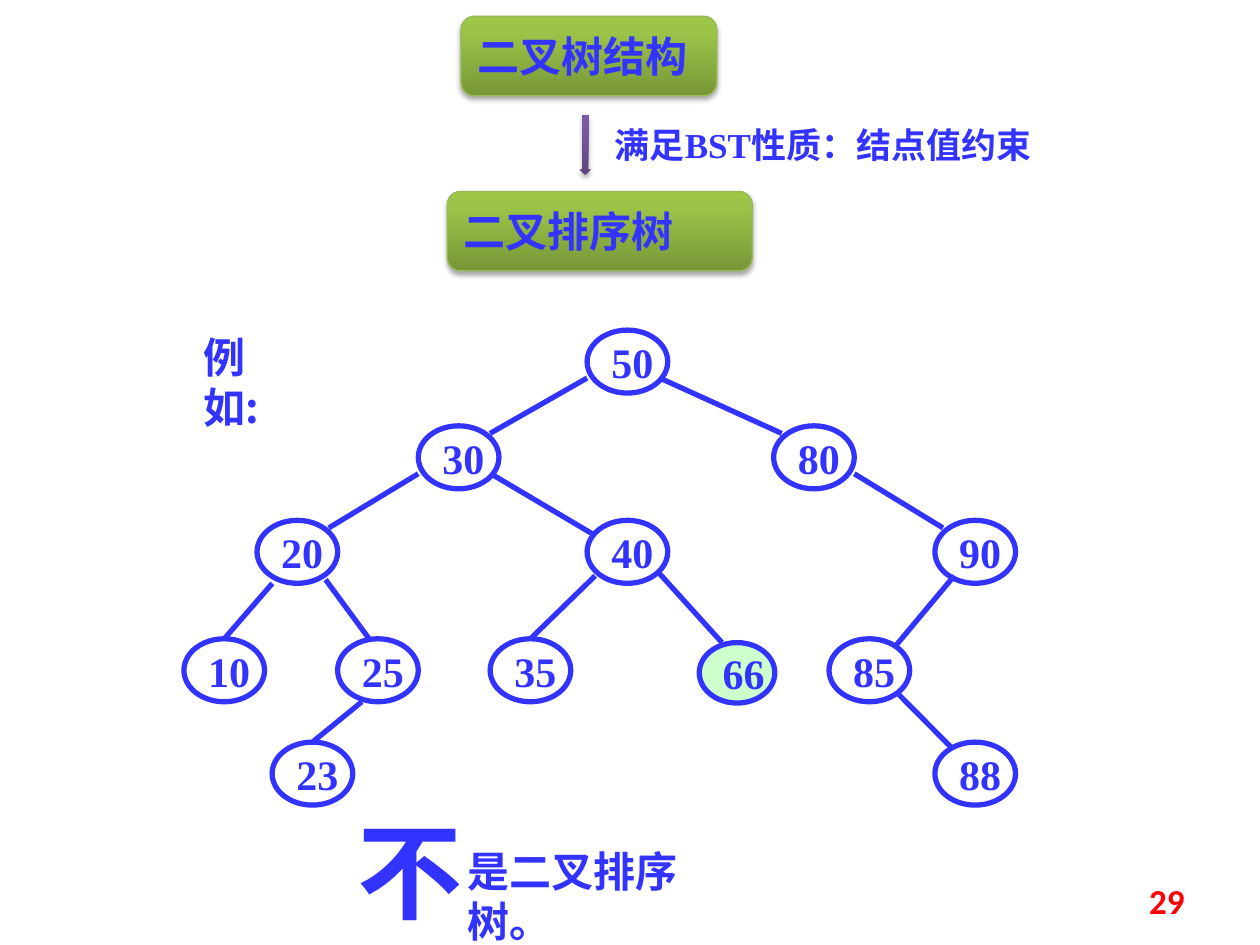
from dataclasses import dataclass

from lxml import etree
from pptx import Presentation
from pptx.dml.color import RGBColor
from pptx.enum.shapes import MSO_CONNECTOR, MSO_SHAPE
from pptx.enum.text import MSO_ANCHOR, PP_ALIGN
from pptx.oxml.ns import qn
from pptx.util import Inches, Pt

ROUNDED, ARROW, OVAL, RECTANGLE = (MSO_SHAPE.ROUNDED_RECTANGLE, MSO_SHAPE.DOWN_ARROW,
                                   MSO_SHAPE.OVAL, MSO_SHAPE.RECTANGLE)
STRAIGHT = MSO_CONNECTOR.STRAIGHT
TOP, MIDDLE = MSO_ANCHOR.TOP, MSO_ANCHOR.MIDDLE
LEFT, RIGHT = PP_ALIGN.LEFT, PP_ALIGN.RIGHT
SLIDE_WIDTH, SLIDE_HEIGHT = Inches(10), Inches(7.5)
CELL = SLIDE_WIDTH / 100


@dataclass(frozen=True)
class Theme:
    """Colours, fonts and type sizes of the slide."""
    blue: str = "3333FF"
    red: str = "FF0000"
    white: str = "FFFFFF"
    mint: str = "CCFFCC"
    green_edge: str = "98B955"
    green: tuple = ((0, "779737"), (80, "9BC348"), (100, "9DC746"))
    purple: tuple = ((0, "5F4480"), (80, "7B58A6"), (100, "7C57A8"))
    serif: str = "Times New Roman"
    sans: str = "Calibri"
    chinese: str = "Noto Sans CJK SC"
    small: int = 20
    body: int = 24
    huge: int = 60
    thin: float = 0.75
    thick: float = 3


THEME = Theme()


@dataclass(frozen=True)
class Box:
    """An area measured in columns and rows of the slide grid."""
    x: float
    y: float
    w: float
    h: float

    def area(self, x, y, w, h):
        """Return an area offset from this one's corner."""
        return Box(self.x + x, self.y + y, w, h)

    def point(self, across, down):
        """Return the slide position at the given shares of this area."""
        return round((self.x + across * self.w) * CELL), round((self.y + down * self.h) * CELL)

    def frame(self):
        """Return left, top, width and height in slide units."""
        return [round(side * CELL) for side in (self.x, self.y, self.w, self.h)]


def write(holder, wording, font, size, color=THEME.blue, anchor=TOP, align=LEFT, wrap=True):
    """Fill a shape with one styled paragraph."""
    frame = holder.text_frame
    frame.word_wrap = wrap
    frame.vertical_anchor = anchor
    paragraph = frame.paragraphs[0]
    paragraph.text = wording
    paragraph.alignment = align
    paragraph.font.name = font
    paragraph.font.size = Pt(size)
    paragraph.font.bold = True
    paragraph.font.color.rgb = RGBColor.from_string(color)


def add_outline(slide, kind, box, edge, width, fill=None):
    """Add a flat preset shape with an outline and an optional fill."""
    shape = slide.shapes.add_shape(kind, *box.frame())
    shape.shadow.inherit = False
    if fill:
        shape.fill.solid()
        shape.fill.fore_color.rgb = RGBColor.from_string(fill)
    else:
        shape.fill.background()
    if edge:
        shape.line.color.rgb = RGBColor.from_string(edge)
        shape.line.width = Pt(width)
    else:
        shape.line.fill.background()
    return shape


def add_glossy(slide, kind, box, stops, edge=None):
    """Add a shape with an upward gradient and a soft shadow below."""
    shape = add_outline(slide, kind, box, edge, THEME.thin)
    properties = shape.element.spPr
    gradient = etree.Element(qn("a:gradFill"), rotWithShape="1")
    stop_list = etree.SubElement(gradient, qn("a:gsLst"))
    for share, color in stops:
        stop = etree.SubElement(stop_list, qn("a:gs"), pos=str(share * 1000))
        etree.SubElement(stop, qn("a:srgbClr"), val=color)
    etree.SubElement(gradient, qn("a:lin"), ang="16200000", scaled="0")
    properties.replace(properties.find(qn("a:noFill")), gradient)
    shadow = etree.SubElement(properties.find(qn("a:effectLst")), qn("a:outerShdw"),
                              blurRad=str(Pt(3.1)), dist=str(Pt(1.8)),
                              dir="5400000", rotWithShape="0")
    tint = etree.SubElement(shadow, qn("a:srgbClr"), val="000000")
    etree.SubElement(tint, qn("a:alpha"), val="35000")
    return shape


def add_derivation(slide, box):
    """Show the general tree turning into the sorted tree."""
    for wording, place in (("二叉树结构", (1.1, 0, 20.3, 6.3)),
                           ("二叉排序树", (0, 13.9, 24.2, 6.3))):
        structure = add_glossy(slide, ROUNDED, box.area(*place), THEME.green, THEME.green_edge)
        write(structure, wording, THEME.sans, THEME.body, anchor=MIDDLE)
    add_glossy(slide, ARROW, box.area(10.5, 7.8, 0.9, 4.8), THEME.purple)
    condition = slide.shapes.add_textbox(*box.area(12.3, 8, 38.3, 4.4).frame())
    write(condition, "满足BST性质：结点值约束", THEME.serif, THEME.small)


def add_tree(slide, box):
    """Draw the example tree, with the misplaced key tinted."""
    levels = (
        (0, {50: 32}),
        (7.6, {30: 18.6, 80: 46.8}),
        (15.1, {20: 5.8, 40: 32, 90: 59.6}),
        (24.5, {10: 0, 25: 12.2, 35: 24.3, 85: 51.2}),
        (32.7, {23: 7, 88: 59.6}),
    )
    places = {key: box.area(column, row, 6.4, 5)
              for row, keys in levels for key, column in keys.items()}
    misplaced = 66
    places[misplaced] = box.area(40.9, 24.8, 6, 4.8)
    top, upper_left, upper_right = (0.5, 0), (0.1, 0.12), (0.89, 0.12)
    lower_left, lower_right = (0, 0.76), (0.9, 0.76)
    branches = (
        (50, lower_left, 30, upper_right), (50, lower_right, 80, upper_left),
        (30, lower_left, 20, upper_right), (30, lower_right, 40, (0.1, 0.24)),
        (80, (1, 0.76), 90, upper_left), (20, (0.19, 1), 10, top),
        (20, (0.85, 0.94), 25, (0.39, 0)), (25, (0.3, 1), 23, top),
        (40, (0.1, 0.88), 35, top), (40, (0.88, 0.82), 66, (0.3, 0)),
        (90, (0.24, 0.88), 85, (0.82, 0.12)), (85, (0.83, 0.84), 88, (0.2, 0.08)),
    )
    for parent, leaving, child, arriving in branches:
        branch = slide.shapes.add_connector(
            STRAIGHT, *places[parent].point(*leaving), *places[child].point(*arriving))
        branch.line.color.rgb = RGBColor.from_string(THEME.blue)
        branch.line.width = Pt(THEME.thick)
        etree.SubElement(branch.element.spPr, qn("a:effectLst"))
    for key, place in places.items():
        node = add_outline(slide, OVAL, place, THEME.blue, THEME.thick,
                           THEME.mint if key == misplaced else None)
        write(node, str(key), THEME.serif, THEME.body, anchor=MIDDLE, wrap=False)


def add_remark(slide, box, wording, font, size):
    """Add a white-edged remark."""
    remark = add_outline(slide, RECTANGLE, box, THEME.white, THEME.thin)
    write(remark, wording, font, size)


def add_page_number(slide, box):
    """Add the page number at the lower right."""
    number = slide.shapes.add_textbox(*box.frame())
    write(number, "29", THEME.sans, THEME.small, THEME.red, MIDDLE, RIGHT)


def main():
    """Build and save the slide."""
    deck = Presentation()
    deck.slide_width, deck.slide_height = SLIDE_WIDTH, SLIDE_HEIGHT
    slide = deck.slides.add_slide(deck.slide_layouts[6])
    add_derivation(slide, Box(35.5, 1.3, 50.6, 20.2))
    add_page_number(slide, Box(71.7, 69.5, 23.3, 4))
    add_tree(slide, Box(14.6, 26.2, 66, 37.7))
    add_remark(slide, Box(15.2, 25.8, 8.1, 3.8), "例如:", THEME.chinese, THEME.body)
    add_remark(slide, Box(36.1, 66.6, 19.8, 3.8), "是二叉排序树。", THEME.chinese, THEME.body)
    add_remark(slide, Box(27.4, 63.5, 8, 8.4), "不", THEME.serif, THEME.huge)
    deck.save("out.pptx")


if __name__ == "__main__":
    main()
